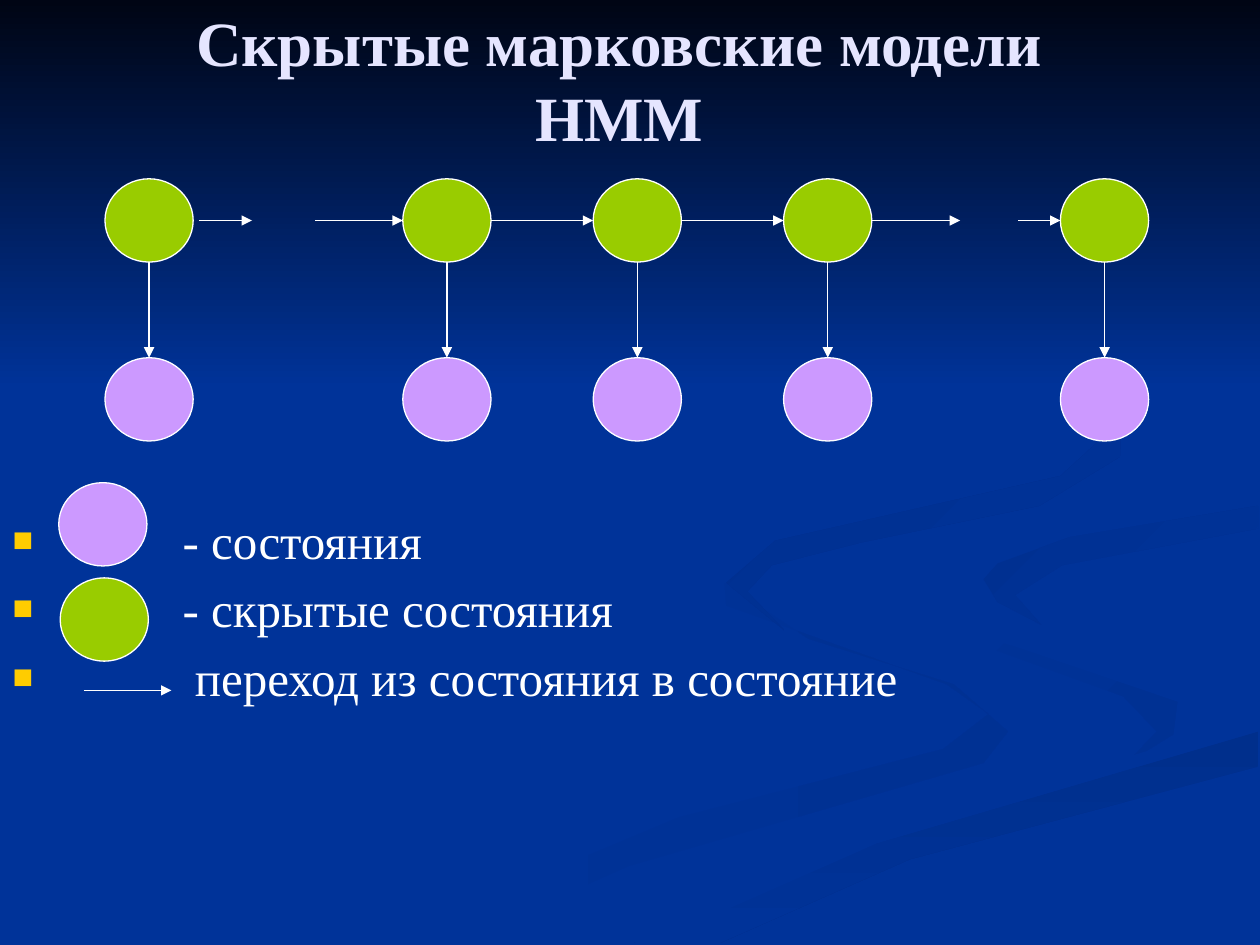
from dataclasses import dataclass
from typing import Any, NamedTuple

from lxml import etree
from pptx import Presentation
from pptx.dml.color import RGBColor
from pptx.enum.shapes import MSO_CONNECTOR, MSO_SHAPE
from pptx.enum.text import MSO_ANCHOR, MSO_AUTO_SIZE, PP_ALIGN
from pptx.oxml.ns import qn
from pptx.util import Pt

STRAIGHT = MSO_CONNECTOR.STRAIGHT
OVAL, BOX = MSO_SHAPE.OVAL, MSO_SHAPE.RECTANGLE
MIDDLE, TOP = MSO_ANCHOR.MIDDLE, MSO_ANCHOR.TOP
CENTER, LEFT = PP_ALIGN.CENTER, PP_ALIGN.LEFT
FIXED = MSO_AUTO_SIZE.NONE


@dataclass(frozen=True)
class Theme:
    font: str = "Times New Roman"
    head_size: float = 36
    text_size: float = 28
    rule: float = 0.75
    back: str = "003399"
    night: str = "000514"
    head: str = "E5E5FF"
    text: str = "FFFFFF"
    bullet: str = "FFCC00"
    hidden: str = "99CC00"
    state: str = "CC99FF"


THEME = Theme()


class Wave(NamedTuple):
    first: str
    last: str
    angle: float
    points: tuple[tuple[float, float], ...]


class Disc(NamedTuple):
    left: float
    top: float
    color: str


class Arrow(NamedTuple):
    x1: float
    y1: float
    x2: float
    y2: float


class Item(NamedTuple):
    text: str
    indent: float


WAVES = (
    Wave(THEME.back, "003193", 0, (
        (545, 391), (462, 365), (414, 333), (415, 346), (541, 391), (565, 408), (539, 428),
        (388, 467), (216, 539), (260, 539), (359, 495), (562, 436), (576, 418))),
    Wave(THEME.back, "003193", 45, (
        (673, 401), (639, 385), (536, 358), (521, 334), (537, 360), (642, 398), (661, 418),
        (644, 436), (678, 415))),
    Wave("002F8C", THEME.back, 90, (
        (362, 539), (411, 539), (520, 491), (719, 438), (719, 418), (501, 482))),
    Wave(THEME.back, THEME.back, 0, (
        (522, 334), (558, 362), (673, 401), (670, 425), (477, 481), (343, 539), (374, 538),
        (501, 482), (719, 418), (719, 387), (611, 362), (562, 331), (612, 307), (719, 289),
        (719, 279), (554, 307))),
    Wave("003091", THEME.back, 45, (
        (562, 331), (570, 344), (595, 357), (580, 340), (607, 323), (719, 302), (719, 289),
        (611, 307), (570, 322))),
    Wave("002F8E", THEME.back, 45, (
        (492, 310), (594, 289), (640, 261), (641, 233), (607, 198), (549, 168), (621, 210),
        (640, 241), (606, 272), (443, 309), (415, 333), (448, 360), (427, 338), (441, 323))),
)

WIDE, HIGH = 50.4, 47.6
UPPER, LOWER = 102.2, 204.4
STEP = 108.8
COLUMNS = (60, *(230.2 + STEP * n for n in range(3)), 606)
LEVEL = UPPER + HIGH / 2
SPANS = (
    (113.8, 144), (180, COLUMNS[1]),
    *((left + WIDE, left + STEP) for left in COLUMNS[1:3]),
    (COLUMNS[3] + WIDE, 548.6), (581.8, COLUMNS[4]),
)
DISCS = (
    *(Disc(left, top, color) for left in COLUMNS
      for top, color in ((UPPER, THEME.hidden), (LOWER, THEME.state))),
    Disc(33.6, 275.8, THEME.state), Disc(34.4, 330.2, THEME.hidden),
)
ARROWS = (
    *(Arrow(left + WIDE / 2, UPPER + HIGH, left + WIDE / 2, LOWER) for left in COLUMNS),
    *(Arrow(start, LEVEL, end, LEVEL) for start, end in SPANS),
    Arrow(48, 394.5, 98, 394.5),
)
ITEMS = (
    Item("- состояния", 97.2),
    Item("- скрытые состояния", 97.2),
    Item("переход из состояния в состояние", 104.2),
)


def tint(code: str) -> RGBColor:
    return RGBColor.from_string(code)


def blend(shape: Any, first: str, last: str, angle: float) -> None:
    shape.shadow.inherit = False
    shape.line.fill.background()
    shape.fill.gradient()
    shape.fill.gradient_angle = -angle % 360
    for stop, code in zip(shape.fill.gradient_stops, (first, last)):
        stop.color.rgb = tint(code)


def draw_wave(shapes: Any, wave: Wave) -> None:
    spots = [(Pt(x), Pt(y)) for x, y in wave.points]
    pen = shapes.build_freeform(*spots[0])
    pen.add_line_segments(spots[1:], close=True)
    blend(pen.convert_to_shape(), wave.first, wave.last, wave.angle)


def draw_disc(shapes: Any, disc: Disc) -> None:
    oval = shapes.add_shape(OVAL, Pt(disc.left), Pt(disc.top), Pt(WIDE), Pt(HIGH))
    oval.shadow.inherit = False
    oval.fill.solid()
    oval.fill.fore_color.rgb = tint(disc.color)
    oval.line.color.rgb = tint(THEME.text)
    oval.line.width = Pt(THEME.rule)


def draw_arrow(shapes: Any, arrow: Arrow) -> None:
    link = shapes.add_connector(STRAIGHT, *map(Pt, arrow))
    link.line.color.rgb = tint(THEME.text)
    link.line.width = Pt(THEME.rule)
    props = link.element.spPr
    etree.SubElement(props.find(qn("a:ln")), qn("a:tailEnd"), type="triangle")
    etree.SubElement(props, qn("a:effectLst"))


def place(holder: Any, left: float, top: float, width: float, height: float, anchor: Any) -> Any:
    holder.left, holder.top, holder.width, holder.height = map(Pt, (left, top, width, height))
    holder.element.getparent().append(holder.element)
    frame = holder.text_frame
    frame.word_wrap, frame.auto_size, frame.vertical_anchor = True, FIXED, anchor
    return frame


def write(line: Any, text: str, *, size: float, color: str, bold: bool = False, align: Any = LEFT) -> None:
    line.text = text
    line.alignment = align
    for run in line.runs:
        run.font.name, run.font.size, run.font.bold = THEME.font, Pt(size), bold
        run.font.color.rgb = tint(color)


def mark(line: Any, indent: float) -> None:
    props = line._p.get_or_add_pPr()
    props.set("marL", str(Pt(indent)))
    props.set("indent", str(-Pt(indent)))
    shade = etree.SubElement(props, qn("a:buClr"))
    etree.SubElement(shade, qn("a:srgbClr"), val=THEME.bullet)
    etree.SubElement(props, qn("a:buSzPct"), val="70000")
    etree.SubElement(props, qn("a:buFont"), typeface=THEME.font)
    etree.SubElement(props, qn("a:buChar"), char="■")


def main() -> None:
    deck = Presentation()
    deck.slide_width, deck.slide_height = Pt(720), Pt(540)
    slide = deck.slides.add_slide(deck.slide_layouts[1])
    shapes = slide.shapes
    slide.background.fill.solid()
    slide.background.fill.fore_color.rgb = tint(THEME.back)
    for wave in WAVES:
        draw_wave(shapes, wave)
    sky = shapes.add_shape(BOX, 0, 0, Pt(720), Pt(222))
    blend(sky, THEME.night, THEME.back, 90)

    title = place(shapes.title, 48, 0, 612, 90, MIDDLE)
    write(title.paragraphs[0], "Скрытые марковские модели\vHMM",
          size=THEME.head_size, color=THEME.head, bold=True, align=CENTER)
    body = place(slide.placeholders[1], 0, 288, 612, 156, TOP)
    for n, item in enumerate(ITEMS):
        line = body.add_paragraph() if n else body.paragraphs[0]
        write(line, item.text, size=THEME.text_size, color=THEME.text)
        mark(line, item.indent)

    for disc in DISCS:
        draw_disc(shapes, disc)
    for arrow in ARROWS:
        draw_arrow(shapes, arrow)
    deck.save("out.pptx")


if __name__ == "__main__":
    main()
